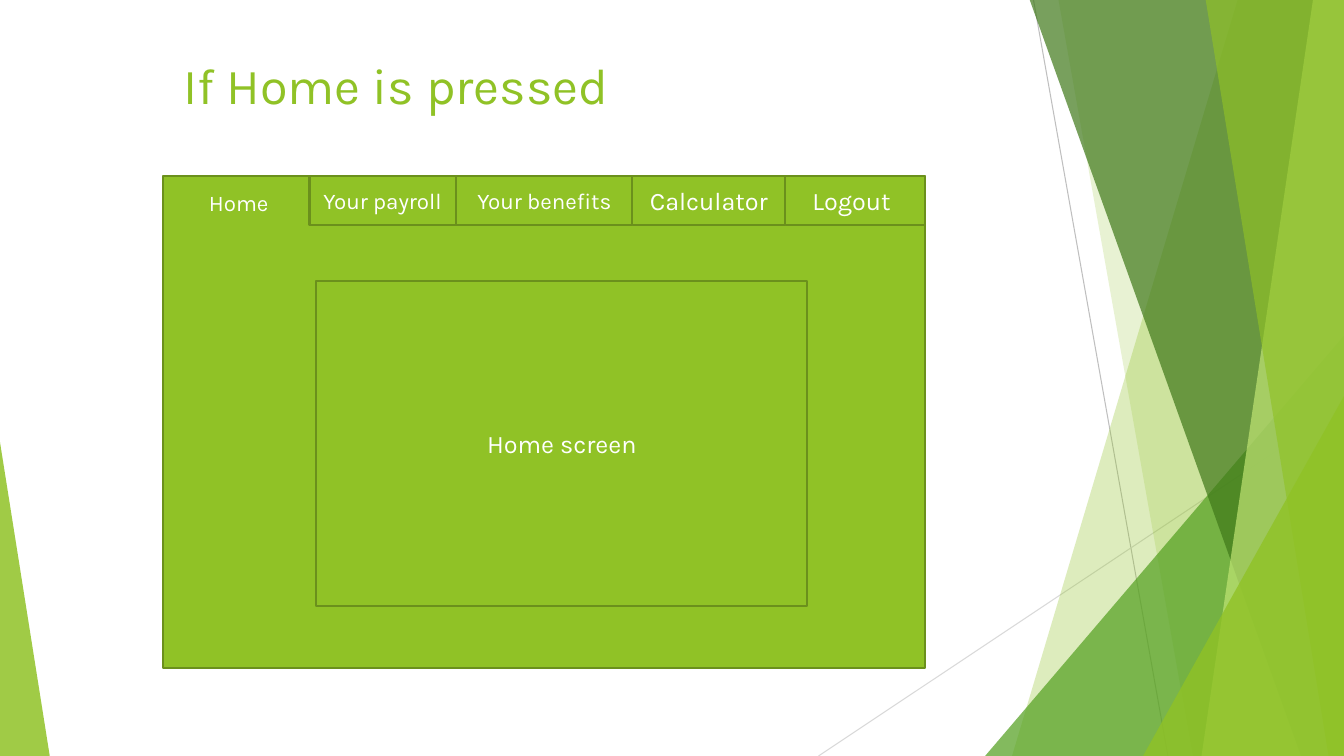
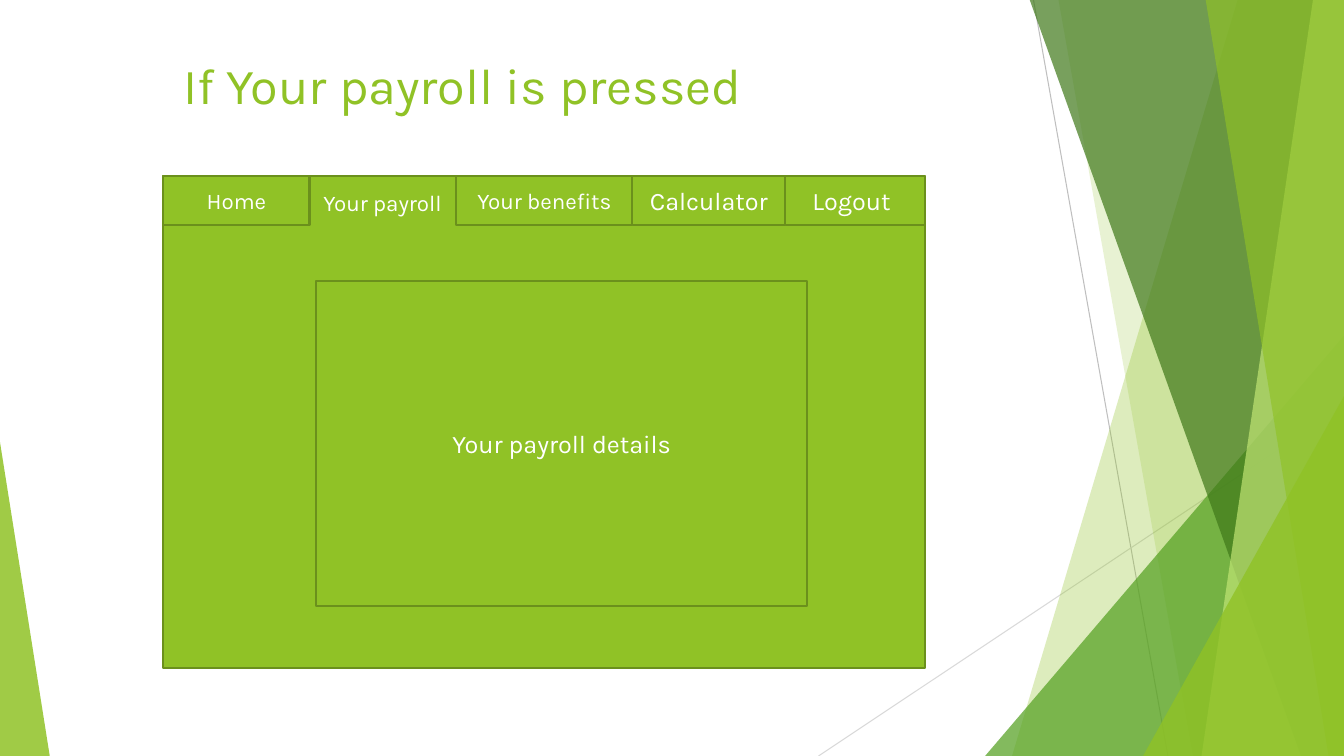
import dataclasses

import lxml.etree
import pptx
import pptx.dml.color
import pptx.enum.shapes
import pptx.enum.text
import pptx.oxml.ns
import pptx.util

SHAPE = pptx.enum.shapes.MSO_SHAPE
ALIGN = pptx.enum.text.PP_ALIGN
ANCHOR = pptx.enum.text.MSO_ANCHOR
qn = pptx.oxml.ns.qn


@dataclasses.dataclass(frozen=True)
class Theme:
    font: str = "Karla"
    lime: str = "90C226"
    pale_lime: str = "C0E474"
    green: str = "54A021"
    forest: str = "3F7819"
    border: str = "6B901C"
    grey: str = "BFBFBF"
    light_grey: str = "D9D9D9"
    white: str = "FFFFFF"
    title_size: int = 36
    body_size: int = 18
    tab_size: int = 16
    border_width: float = 1.5
    hairline: float = 0.75


@dataclasses.dataclass(frozen=True)
class Box:
    left: int
    top: int
    width: int
    height: int

    def point(self, x, y):
        """Position at x, y percent of this box."""
        return (round(self.left + self.width * x / 100),
                round(self.top + self.height * y / 100))

    def inner(self, x, y, width, height):
        """Box placed and sized in percent of this one."""
        return Box(*self.point(x, y), round(self.width * width / 100),
                   round(self.height * height / 100))

    def bounds(self):
        return self.left, self.top, self.width, self.height


THEME = Theme()
PAGE = Box(0, 0, pptx.util.Inches(13.33), pptx.util.Inches(7.5))
TITLE_AREA = PAGE.inner(12.9, 6.5, 63.7, 24)
APP_AREA = PAGE.inner(12.15, 23.3, 56.65, 65.1)

# start x, start y, end x, end y, colour: percent of the page
HAIRLINES = [(76.9, 0, 86.9, 100, THEME.grey),
             (100, 53.7, 60.9, 100, THEME.light_grey)]
# Bands reach the right edge: top x, bottom x, colour, opacity
BACK_BANDS = [(92.1, 75.3, THEME.lime, 30), (78.75, 88.75, THEME.lime, 20)]
FRONT_BANDS = [(76.6, 96.8, THEME.forest, 70),
               (97.7, 89.4, THEME.pale_lime, 70),
               (89.7, 98.85, THEME.lime, 65)]
# Wedges stand on the bottom edge: left, top, width, apex, colour, opacity
BACK_WEDGES = [(73.3, 44.4, 26.7, 1, THEME.green, 72)]
FRONT_WEDGES = [(85.05, 52.4, 14.95, 1, THEME.lime, 80),
                (0, 58.5, 3.7, 0, THEME.lime, 85)]

# label, left, width (percent of the app window), type size
TABS = [("Home", 0, 19.2, THEME.tab_size),
        ("Your payroll", 19.2, 19.2, THEME.tab_size),
        ("Your benefits", 38.5, 23.1, THEME.tab_size),
        ("Calculator", 61.6, 20.1, THEME.body_size),
        ("Logout", 80.8, 19.2, THEME.body_size)]
TAB_HEIGHT = 10
ACTIVE_INSET = (0.3, 0.4)

# pressed tab, content of the screen it opens
SCREENS = [("Home", "Home screen"),
           ("Your payroll", "Your payroll details")]


def rgb(colour):
    return pptx.dml.color.RGBColor.from_string(colour)


def write(frame, text, size, colour, align):
    frame.word_wrap = True
    paragraph = frame.paragraphs[0]
    paragraph.text = text
    paragraph.alignment = align
    paragraph.font.name = THEME.font
    paragraph.font.size = pptx.util.Pt(size)
    paragraph.font.color.rgb = rgb(colour)


def paint(shape, colour, opacity=100):
    """Flat fill without outline or shadow."""
    shape.shadow.inherit = False
    shape.line.fill.background()
    shape.fill.solid()
    shape.fill.fore_color.rgb = rgb(colour)
    if opacity < 100:
        tint = shape.element.spPr.find(qn("a:solidFill")).find(qn("a:srgbClr"))
        alpha = lxml.etree.SubElement(tint, qn("a:alpha"))
        alpha.set("val", str(opacity * 1000))


def add_hairline(slide, area, x1, y1, x2, y2, colour):
    hairline = slide.shapes.add_connector(
        pptx.enum.shapes.MSO_CONNECTOR.STRAIGHT,
        *area.point(x1, y1), *area.point(x2, y2))
    hairline.line.color.rgb = rgb(colour)
    hairline.line.width = pptx.util.Pt(THEME.hairline)
    lxml.etree.SubElement(hairline.element.spPr, qn("a:effectLst"))


def add_band(slide, area, top_x, bottom_x, colour, opacity):
    bleed = -0.1
    outline = slide.shapes.build_freeform(*area.point(top_x, bleed))
    outline.add_line_segments([area.point(100, bleed), area.point(100, 100),
                               area.point(bottom_x, 100)], close=True)
    paint(outline.convert_to_shape(), colour, opacity)


def add_wedge(slide, area, left, top, width, apex, colour, opacity):
    wedge = slide.shapes.add_shape(
        SHAPE.ISOSCELES_TRIANGLE,
        *area.inner(left, top, width, 100 - top).bounds())
    wedge.adjustments[0] = apex
    paint(wedge, colour, opacity)


def add_backdrop(slide, area):
    layers = [(add_hairline, HAIRLINES), (add_band, BACK_BANDS),
              (add_wedge, BACK_WEDGES), (add_band, FRONT_BANDS),
              (add_wedge, FRONT_WEDGES)]
    for draw, facets in layers:
        for facet in facets:
            draw(slide, area, *facet)


def add_title(slide, area, text):
    title = slide.shapes.add_textbox(*area.bounds())
    write(title.text_frame, text, THEME.title_size, THEME.lime, ALIGN.LEFT)


def add_panel(slide, area, text="", size=THEME.body_size, bordered=True):
    panel = slide.shapes.add_shape(SHAPE.RECTANGLE, *area.bounds())
    paint(panel, THEME.lime)
    if bordered:
        panel.line.color.rgb = rgb(THEME.border)
        panel.line.width = pptx.util.Pt(THEME.border_width)
    if text:
        panel.text_frame.vertical_anchor = ANCHOR.MIDDLE
        write(panel.text_frame, text, size, THEME.white, ALIGN.CENTER)


def add_tabs(slide, area, pressed):
    """Tab row; the pressed tab lies lowest and opens into the window."""
    inset_x, inset_y = ACTIVE_INSET
    for label, left, width, size in sorted(
            reversed(TABS), key=lambda tab: tab[0] != pressed):
        active = label == pressed
        tab_area = area.inner(max(left, inset_x) if active else left,
                              inset_y if active else 0, width, TAB_HEIGHT)
        add_panel(slide, tab_area, label, size, bordered=not active)


def add_app_window(slide, area, pressed, content):
    add_panel(slide, area)
    add_panel(slide, area.inner(20.1, 21.3, 64.5, 66), content)
    add_tabs(slide, area, pressed)


def add_screen_slide(deck, pressed, content):
    slide = deck.slides.add_slide(deck.slide_layouts[6])
    add_backdrop(slide, PAGE)
    add_title(slide, TITLE_AREA, f"If {pressed} is pressed")
    add_app_window(slide, APP_AREA, pressed, content)


def main():
    deck = pptx.Presentation()
    deck.slide_width, deck.slide_height = PAGE.width, PAGE.height
    for pressed, content in SCREENS:
        add_screen_slide(deck, pressed, content)
    deck.save("out.pptx")


if __name__ == "__main__":
    main()
